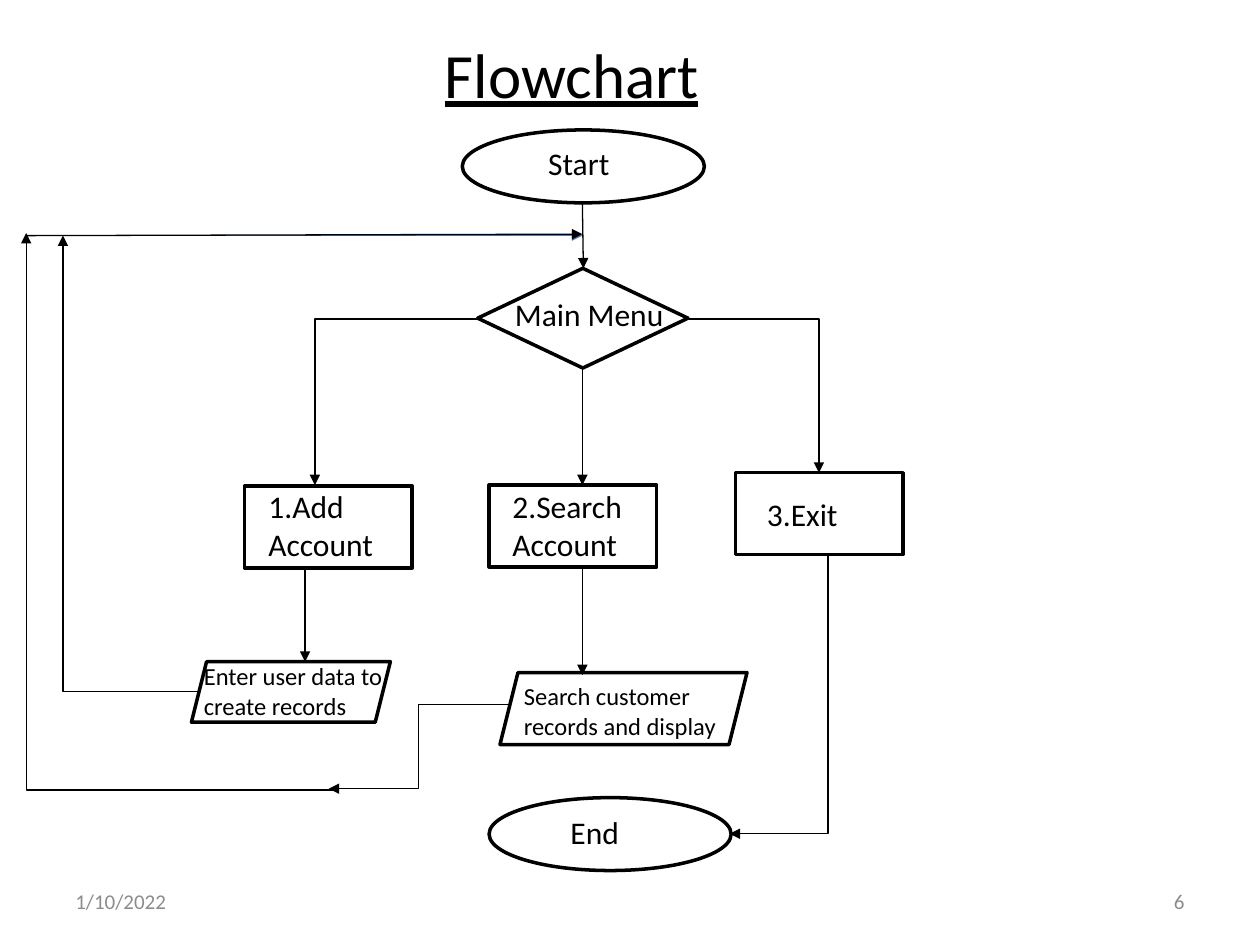
from lxml import etree
from pptx import Presentation
from pptx.dml.color import RGBColor
from pptx.enum.shapes import MSO_CONNECTOR, MSO_SHAPE
from pptx.enum.text import MSO_ANCHOR, MSO_AUTO_SIZE, PP_ALIGN
from pptx.oxml.ns import qn
from pptx.util import Cm, Pt

OVAL, RECT = MSO_SHAPE.OVAL, MSO_SHAPE.RECTANGLE
SLANT, CHOICE = MSO_SHAPE.PARALLELOGRAM, MSO_SHAPE.FLOWCHART_DECISION
STRAIGHT, ELBOW = MSO_CONNECTOR.STRAIGHT, MSO_CONNECTOR.ELBOW
LEFT, RIGHT = PP_ALIGN.LEFT, PP_ALIGN.RIGHT
TOP, MIDDLE = MSO_ANCHOR.TOP, MSO_ANCHOR.MIDDLE
FIXED = MSO_AUTO_SIZE.NONE

BLACK, WHITE, GRAY, BLUE = "000000", "FFFFFF", "8C8C8C", "4B7EBC"


def color(code):
    return RGBColor.from_string(code)


def apply(target, values):
    for name, value in values.items():
        setattr(target, name, value)


class Chart:
    face = "Calibri"
    thick = Pt(2)
    thin = Pt(0.75)

    def __init__(self, slide):
        self.slide = slide

    def letter(self, shape, text, size, ink=BLACK, align=LEFT, anchor=TOP, under=None):
        frame = shape.text_frame
        apply(frame, {"word_wrap": True, "auto_size": FIXED, "vertical_anchor": anchor})
        frame.text = text
        para = frame.paragraphs[0]
        para.alignment = align
        font = para.runs[0].font
        apply(font, {"name": self.face, "size": Pt(size), "underline": under})
        font.color.rgb = color(ink)

    def title(self, text, box):
        shape = self.slide.shapes.title
        places = map(Cm, box)
        apply(shape, dict(zip(("left", "top", "width", "height"), places)))
        self.letter(shape, text, 36, under=True)

    def label(self, text, box, size=18, **style):
        shape = self.slide.shapes.add_textbox(*map(Cm, box))
        self.letter(shape, text, size, **style)

    def node(self, kind, box):
        shape = self.slide.shapes.add_shape(kind, *map(Cm, box))
        shape.shadow.inherit = False
        shape.fill.solid()
        shape.fill.fore_color.rgb = color(WHITE)
        shape.line.color.rgb = color(BLACK)
        shape.line.width = self.thick

    def arrow(self, ends, kind=STRAIGHT, preset=None, ink=BLACK, tip="tailEnd"):
        link = self.slide.shapes.add_connector(kind, *map(Cm, ends))
        link.line.color.rgb = color(ink)
        link.line.width = self.thin
        props = link.element.spPr
        if preset:
            props.find(qn("a:prstGeom")).set("prst", preset)
        etree.SubElement(props.find(qn("a:ln")), qn(f"a:{tip}"), type="triangle")
        etree.SubElement(props, qn("a:effectLst"))

    def bend(self, ends, preset="bentConnector2", tip="tailEnd"):
        self.arrow(ends, ELBOW, preset, tip=tip)


def main():
    deck = Presentation()
    apply(deck, {"slide_width": Cm(25.4), "slide_height": Cm(19.05)})
    chart = Chart(deck.slides.add_slide(deck.slide_layouts[5]))
    chart.title("Flowchart", (8.71, 0.58, 18.62, 3.33))

    for kind, size, spots in (
        (SLANT, (4.98, 1.45), [(10.08, 13.56)]),
        (SLANT, (4.01, 1.22), [(3.86, 13.34)]),
        (OVAL, (4.88, 1.47), [(9.32, 2.62), (9.86, 16.08)]),
        (CHOICE, (4.24, 2.01), [(9.63, 5.41)]),
        (RECT, (3.38, 1.65), [(4.93, 9.8), (9.86, 9.78), (14.83, 9.53)]),
    ):
        for spot in spots:
            chart.node(kind, spot + size)

    chart.arrow((1.27, 4.75, 11.74, 4.75), ink=BLUE)
    for ends in (
        (11.74, 4.11, 11.76, 5.41),
        (11.74, 7.42, 11.74, 9.78),
        (0.53, 4.75, 11.74, 4.72),
        (6.15, 11.46, 6.15, 13.34),
        (11.74, 11.43, 11.74, 13.61),
    ):
        chart.arrow(ends)

    for ends in (
        (13.87, 6.43, 16.51, 9.53),
        (9.63, 6.43, 6.35, 9.78),
        (4.01, 13.94, 1.27, 4.75),
        (6.76, 15.93, 0.53, 4.7),
    ):
        chart.bend(ends)
    chart.bend((14.71, 16.81, 16.69, 11.18), tip="headEnd")
    chart.bend((10.24, 14.2, 6.63, 15.9), "bentConnector3")

    for text, box in (
        ("Main Menu", (10.13, 5.82, 3.84, 1.02)),
        ("End", (11.25, 16.26, 3.1, 1.02)),
        ("1.Add Account", (5.16, 9.7, 3.1, 1.8)),
        ("Start", (10.8, 2.77, 3.1, 1.02)),
        ("2.Search Account", (10.08, 9.7, 3.1, 1.8)),
        ("3.Exit", (15.21, 9.86, 3.1, 1.02)),
    ):
        chart.label(text, box)
    chart.label("Enter user data to create records", (3.86, 13.21, 4.17, 1.45), 14)
    chart.label("Search customer records and display", (10.31, 13.61, 4.52, 1.45), 14)

    for text, left, align in (("1/10/2022", 1.27, LEFT), ("6", 18.21, RIGHT)):
        box = (left, 17.65, 5.92, 1.02)
        chart.label(text, box, 12, ink=GRAY, align=align, anchor=MIDDLE)

    deck.save("out.pptx")


if __name__ == "__main__":
    main()
